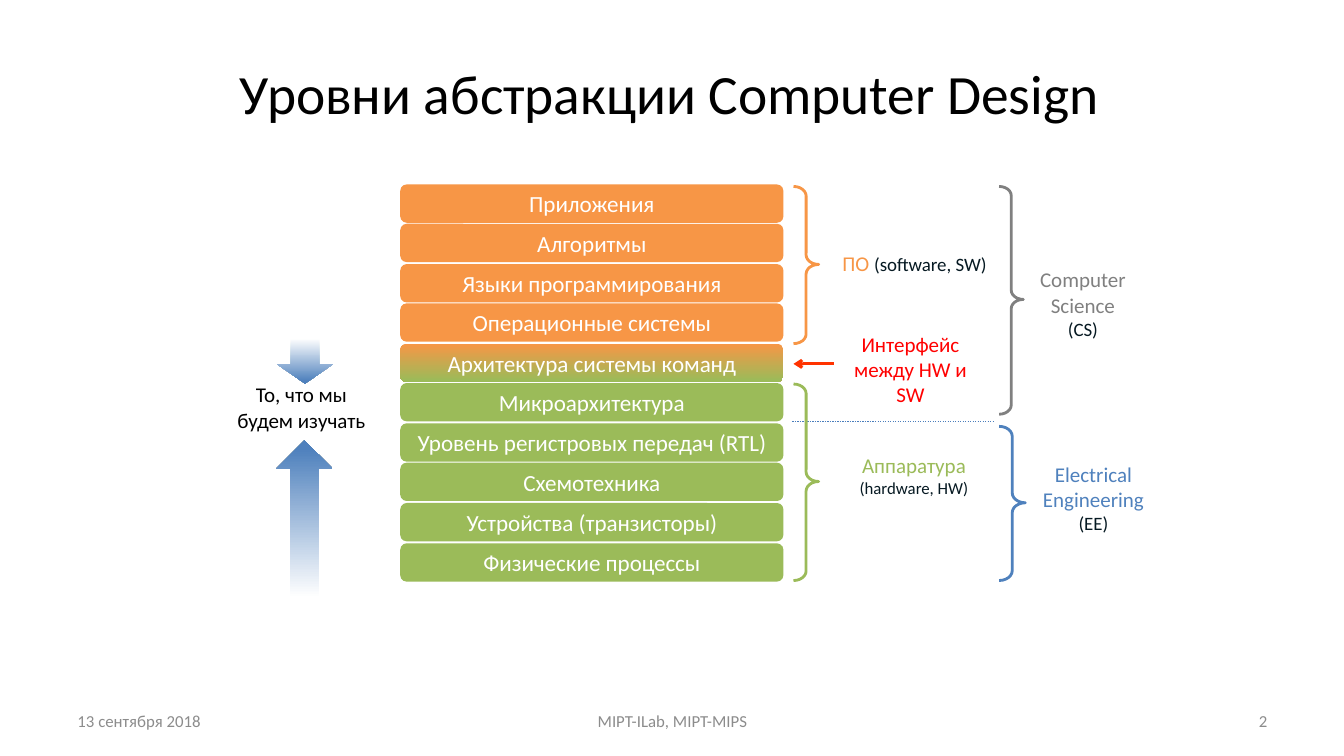
from pptx import Presentation
from pptx.dml.color import RGBColor
from pptx.enum.dml import MSO_LINE as Dash
from pptx.enum.shapes import MSO_CONNECTOR as Link, MSO_SHAPE as Shape
from pptx.enum.text import MSO_ANCHOR as Anchor, MSO_AUTO_SIZE as Auto, PP_ALIGN as Align
from pptx.oxml.ns import qn
from pptx.util import Emu, Pt
from lxml.etree import SubElement as add_sub


class Theme:
    face = "Calibri"
    black, white, ink = "000000", "FFFFFF", "061922"
    soft, hard, blue = "F79646", "9BBB59", "4F81BD"
    gray, pale, red = "808080", "8C8C8C", "FF0000"
    arrow, rule = "FF3300", "4B7EBC"
    title, level, label, note, small = 39.6, 16.5, 15, 13.5, 12


def px(n):
    return Emu(n * 9144)


def rgb(code):
    return RGBColor.from_string(code)


def apply(item, **values):
    for name, value in values.items():
        setattr(item, name, value)


def write(frame, paras, align=Align.CENTER, **form):
    """Fill a frame; each paragraph is a list of (text, size, colour) runs."""
    apply(frame, **form)
    for i, runs in enumerate(paras):
        para = frame.add_paragraph() if i else frame.paragraphs[0]
        para.alignment = align
        for text, size, color in runs:
            run = para.add_run()
            run.text = text
            apply(run.font, name=Theme.face, size=Pt(size))
            run.font.color.rgb = rgb(color)


def add_label(slide, box, paras, **form):
    frame = slide.shapes.add_textbox(*map(px, box)).text_frame
    write(frame, paras, **{"word_wrap": True, "auto_size": Auto.SHAPE_TO_FIT_TEXT, **form})


def add_form(slide, kind, box):
    shape = slide.shapes.add_shape(kind, *map(px, box))
    shape.shadow.inherit = False
    shape.line.fill.background()
    return shape


def paint(shape, color):
    shape.fill.solid()
    shape.fill.fore_color.rgb = rgb(color)


def blend(shape, stops, angle):
    shape.fill.gradient()
    shape.fill.gradient_angle = angle
    for stop, (place, color) in zip(shape.fill.gradient_stops, stops):
        stop.position = place
        stop.color.rgb = rgb(color)


def add_line(slide, start, end, color, width):
    line = slide.shapes.add_connector(Link.STRAIGHT, *map(px, start + end))
    line.line.color.rgb = rgb(color)
    line.line.width = Pt(width)
    add_sub(line._element.spPr, qn("a:effectLst"))
    return line


def add_brace(slide, box, color):
    brace = add_form(slide, Shape.RIGHT_BRACE, box)
    brace.fill.background()
    brace.line.color.rgb = rgb(color)
    brace.line.width = Pt(2)
    brace.adjustments[0], brace.adjustments[1] = 0.378, 0.496


def add_title(slide, box, text):
    title = slide.shapes.title
    apply(title, **dict(zip(("left", "top", "width", "height"), map(px, box))))
    write(title.text_frame, [[(text, Theme.title, Theme.black)]],
          vertical_anchor=Anchor.MIDDLE, word_wrap=True)


def add_footer(slide, box):
    x, y, w, h = box
    side = 311
    parts = (
        (x, side, "13 сентября 2018", Align.LEFT),
        (x + 300, w - 600, "MIPT-ILab, MIPT-MIPS", Align.CENTER),
        (x + w - side, side, "2", Align.RIGHT),
    )
    for left, wide, text, align in parts:
        add_label(slide, (left, y, wide, h), [[(text, Theme.small, Theme.pale)]],
                  align=align, auto_size=Auto.NONE, vertical_anchor=Anchor.MIDDLE)


def add_stack(slide, box):
    """Stack the abstraction levels, software above hardware."""
    x, y, w, h = box
    soft = ("Приложения", "Алгоритмы", "Языки программирования", "Операционные системы")
    hard = ("Микроархитектура", "Уровень регистровых передач (RTL)", "Схемотехника",
            "Устройства (транзисторы)", "Физические процессы")
    names = (*soft, "Архитектура системы команд", *hard)
    high = 38
    for i, name in enumerate(names):
        top = y + (h - high) * i // (len(names) - 1)
        level = add_form(slide, Shape.ROUNDED_RECTANGLE, (x, top, w, high))
        if i == len(soft):
            blend(level, ((0, Theme.soft), (0.97, Theme.hard)), 270)
        else:
            paint(level, Theme.soft if i < len(soft) else Theme.hard)
        write(level.text_frame, [[(name, Theme.level, Theme.white)]],
              vertical_anchor=Anchor.MIDDLE, word_wrap=False,
              margin_left=px(7), margin_right=px(7), margin_top=px(4), margin_bottom=px(4))


def add_sides(slide, box):
    """Split the levels into software and hardware."""
    x, y, w, h = box
    add_line(slide, (x - 1, y + 233), (x + w, y + 233), Theme.rule, 0.25).line.dash_style = Dash.DASH
    add_brace(slide, (x, y + h - 195, 25, 195), Theme.hard)
    add_brace(slide, (x, y, 25, 156), Theme.soft)
    add_label(slide, (x + 39, y + 259, 161, 56), [[
        ("Аппаратура", Theme.label, Theme.hard), (" ", Theme.small, Theme.soft),
        ("(hardware, HW)", Theme.small, Theme.ink)]])
    add_label(slide, (x + 36, y + 59, 168, 35), [[
        ("ПО ", Theme.label, Theme.soft), ("(software, SW)", Theme.note, Theme.ink)]])
    add_label(slide, (x + 47, y + 139, 138, 86),
              [[("Интерфейс между HW и SW", Theme.label, Theme.red)]])
    arrow = add_line(slide, (x + 40, y + 176), (x, y + 176), Theme.arrow, 2)
    add_sub(arrow.line._get_or_add_ln(), qn("a:tailEnd"), type="arrow")


def add_fields(slide, box):
    """Name the field of study beside each part of the stack."""
    x, y, w, h = box
    fields = (
        ((x, y, 24, 226), (x + 24, y + 75, 118, 83), "Computer Science", "(CS)", Theme.gray),
        ((x, y + h - 153, 26, 153), (x + 27, y + 268, w - 27, 83),
         "Electrical Engineering", "(EE)", Theme.blue),
    )
    for brace, label, name, short, color in fields:
        add_brace(slide, brace, color)
        add_label(slide, label, [[(name, Theme.label, color)], [(short, Theme.note, Theme.ink)]])


def add_focus(slide, box):
    """Point from above and below at the levels to be studied."""
    x, y, w, h = box
    add_label(slide, (x, y + 40, w, 61),
              [[("То, что мы будем изучать", Theme.label, Theme.black)]])
    wide, mid = 56, x + 83
    for top, long, turn, head in ((y + h - 164, 164, 270, 0.5), (y, 47, 90, 0.41)):
        place = (mid - long // 2, top + (long - wide) // 2, long, wide)
        arrow = add_form(slide, Shape.RIGHT_ARROW, place)
        arrow.rotation = turn
        arrow.adjustments[1] = head
        blend(arrow, ((0.05, Theme.white), (0.95, Theme.blue)), 0)


def main():
    deck = Presentation()
    apply(deck, slide_width=px(1333), slide_height=px(750))
    slide = deck.slides.add_slide(deck.slide_layouts[5])
    add_title(slide, (212, 48, 904, 88), "Уровни абстракции Computer Design")
    add_footer(slide, (67, 695, 1200, 40))
    add_sides(slide, (787, 185, 198, 391))
    add_stack(slide, (397, 183, 380, 394))
    add_fields(slide, (991, 185, 160, 391))
    add_focus(slide, (219, 334, 160, 267))
    deck.save("out.pptx")


if __name__ == "__main__":
    main()
